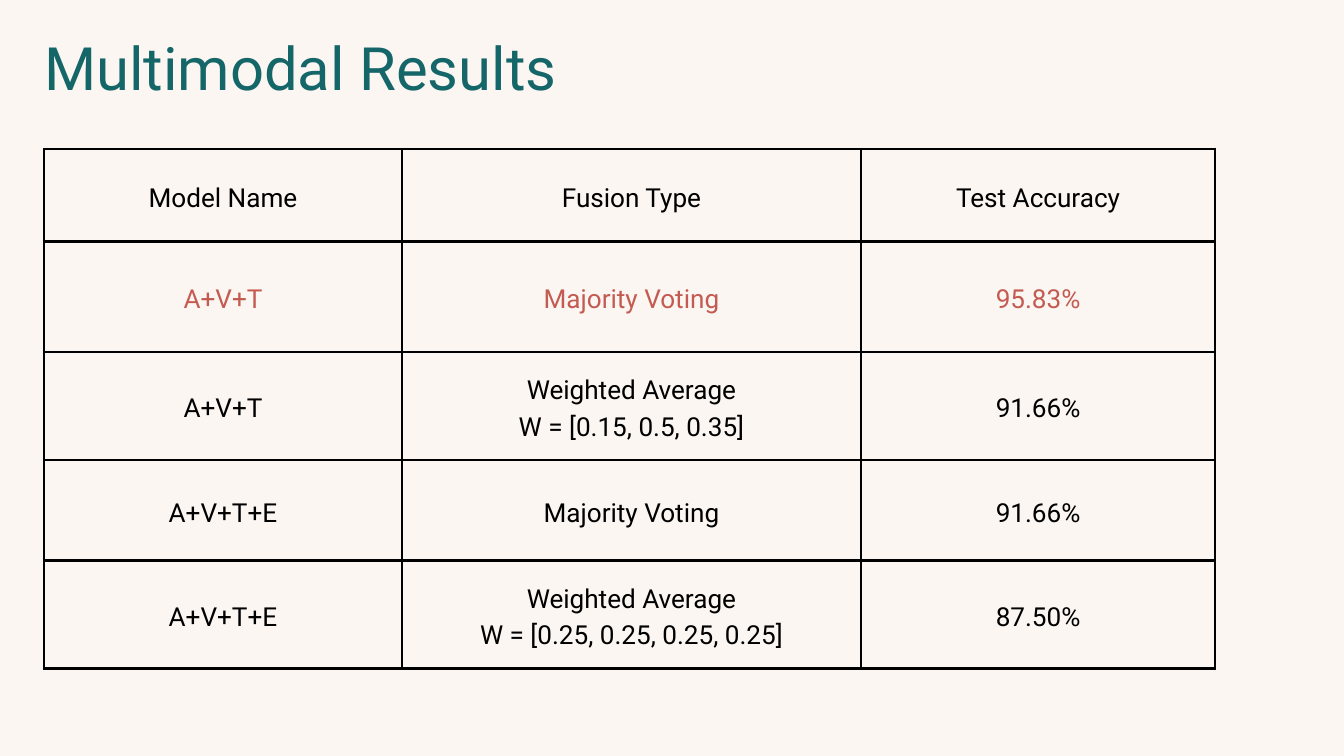
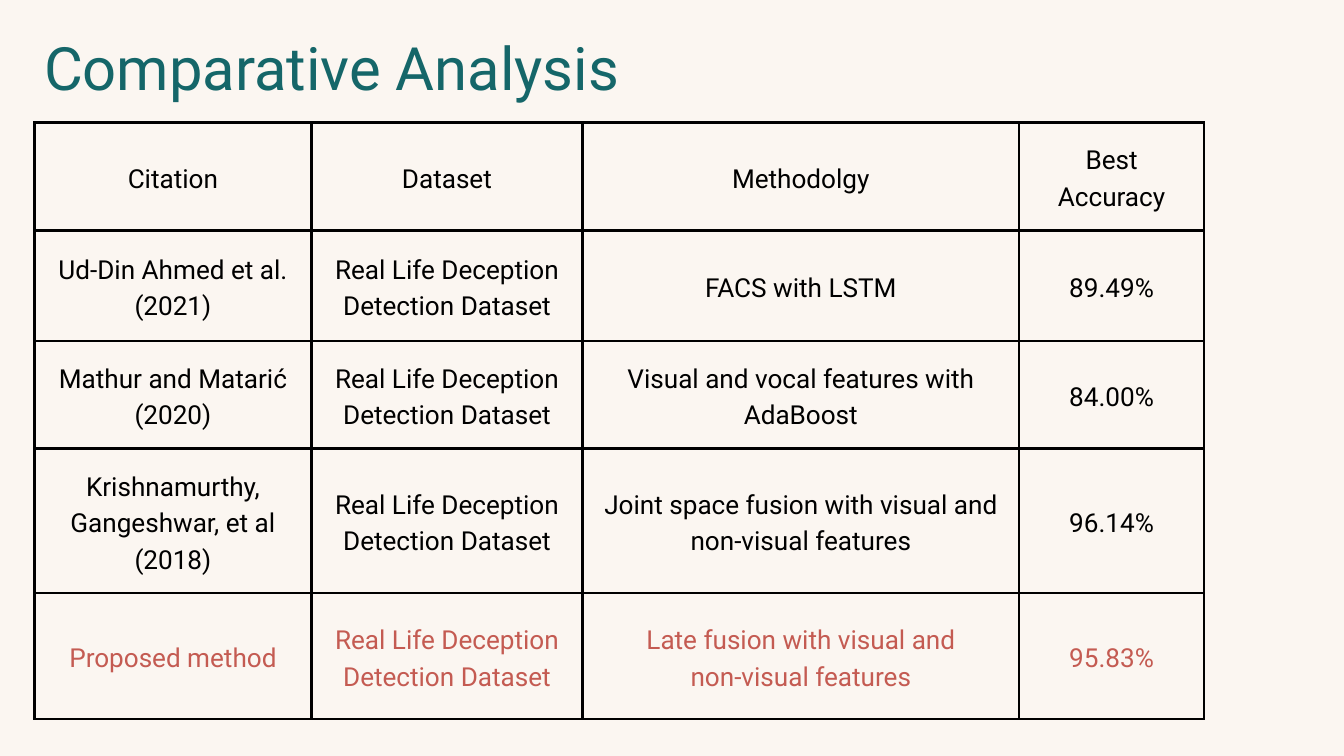
"""Build two result slides, each a title over a ruled table."""
from dataclasses import dataclass

from lxml.etree import SubElement
from pptx import Presentation
from pptx.dml.color import RGBColor
from pptx.enum.text import MSO_ANCHOR as Anchor
from pptx.enum.text import MSO_AUTO_SIZE as AutoSize
from pptx.enum.text import PP_ALIGN as Align
from pptx.oxml.ns import qn
from pptx.presentation import Presentation as Deck
from pptx.slide import Slide
from pptx.table import _Cell as Cell
from pptx.text.text import TextFrame
from pptx.util import Emu, Pt

CREAM = RGBColor(0xFB, 0xF6, 0xF1)
TEAL = RGBColor(0x15, 0x66, 0x69)
BLACK = RGBColor(0x00, 0x00, 0x00)
CORAL = RGBColor(0xC4, 0x5B, 0x52)

FONT = "Roboto"
LINE_FACTOR = 1.4
CELL_INSET = 20
BORDER = Pt(3)
DATASET = "Real Life Deception Detection Dataset"


@dataclass(frozen=True)
class ResultPage:
    title: str
    left: int
    top: int
    widths: tuple[int, ...]
    heights: tuple[int, ...]
    rows: tuple[tuple[str, ...], ...]
    highlight: int


PAGES = (
    ResultPage(
        title="Multimodal Results",
        left=63,
        top=213,
        widths=(511, 656, 506),
        heights=(132, 158, 154, 144, 154),
        rows=(
            ("Model Name", "Fusion Type", "Test Accuracy"),
            ("A+V+T", "Majority Voting", "95.83%"),
            ("A+V+T", "Weighted Average\nW = [0.15, 0.5, 0.35]", "91.66%"),
            ("A+V+T+E", "Majority Voting", "91.66%"),
            ("A+V+T+E", "Weighted Average\nW = [0.25, 0.25, 0.25, 0.25]", "87.50%"),
        ),
        highlight=1,
    ),
    ResultPage(
        title="Comparative Analysis",
        left=49,
        top=175,
        widths=(396, 387, 624, 264),
        heights=(154, 158, 154, 206, 180),
        rows=(
            ("Citation", "Dataset", "Methodolgy", "Best Accuracy"),
            ("Ud-Din Ahmed et al. (2021)", DATASET, "FACS with LSTM", "89.49%"),
            ("Mathur and Matarić (2020)", DATASET,
             "Visual and vocal features with AdaBoost", "84.00%"),
            ("Krishnamurthy, Gangeshwar, et al\n(2018)", DATASET,
             "Joint space fusion with visual and\nnon-visual features", "96.14%"),
            ("Proposed method", DATASET,
             "Late fusion with visual and\nnon-visual features", "95.83%"),
        ),
        highlight=4,
    ),
)


def px(length: int) -> Emu:
    return Emu(length * 9525)


def write(frame: TextFrame, text: str, size: int, color: RGBColor, align: Align) -> None:
    frame.text = text
    for para in frame.paragraphs:
        para.alignment = align
        para.line_spacing = Pt(size * LINE_FACTOR)
        for span in para.runs:
            span.font.name = FONT
            span.font.size = Pt(size)
            span.font.color.rgb = color


def add_title(page: Slide, text: str) -> None:
    box = page.shapes.add_textbox(px(63), px(27), px(1538), px(116))
    frame = box.text_frame
    frame.margin_left = frame.margin_right = frame.margin_top = frame.margin_bottom = 0
    frame.word_wrap = True
    frame.auto_size = AutoSize.SHAPE_TO_FIT_TEXT
    write(frame, text, 64, TEAL, Align.LEFT)


def add_borders(cell: Cell) -> None:
    properties = cell._tc.get_or_add_tcPr()
    for side in ("lnL", "lnR", "lnT", "lnB"):
        line = SubElement(properties, qn(f"a:{side}"), w=str(BORDER))
        fill = SubElement(line, qn("a:solidFill"))
        SubElement(fill, qn("a:srgbClr"), val=str(BLACK))


def fill_cell(cell: Cell, text: str, color: RGBColor) -> None:
    cell.margin_left = cell.margin_right = px(CELL_INSET)
    cell.margin_top = cell.margin_bottom = px(CELL_INSET)
    cell.vertical_anchor = Anchor.MIDDLE
    add_borders(cell)
    cell.fill.background()
    write(cell.text_frame, text, 28, color, Align.CENTER)


def add_results(page: Slide, content: ResultPage) -> None:
    table = page.shapes.add_table(
        len(content.heights), len(content.widths), px(content.left), px(content.top),
        px(sum(content.widths)), px(sum(content.heights)),
    ).table
    table.first_row = table.horz_banding = False
    for column, width in zip(table.columns, content.widths):
        column.width = px(width)
    for index, (row, height) in enumerate(zip(table.rows, content.heights)):
        row.height = px(height)
        color = CORAL if index == content.highlight else BLACK
        for cell, text in zip(row.cells, content.rows[index]):
            fill_cell(cell, text, color)


def add_page(deck: Deck, content: ResultPage) -> None:
    page = deck.slides.add_slide(deck.slide_layouts[6])
    background = page.background.fill
    background.solid()
    background.fore_color.rgb = CREAM
    add_title(page, content.title)
    add_results(page, content)


def main() -> None:
    deck = Presentation()
    deck.slide_width, deck.slide_height = px(1920), px(1080)
    for content in PAGES:
        add_page(deck, content)
    deck.save("out.pptx")


if __name__ == "__main__":
    main()
